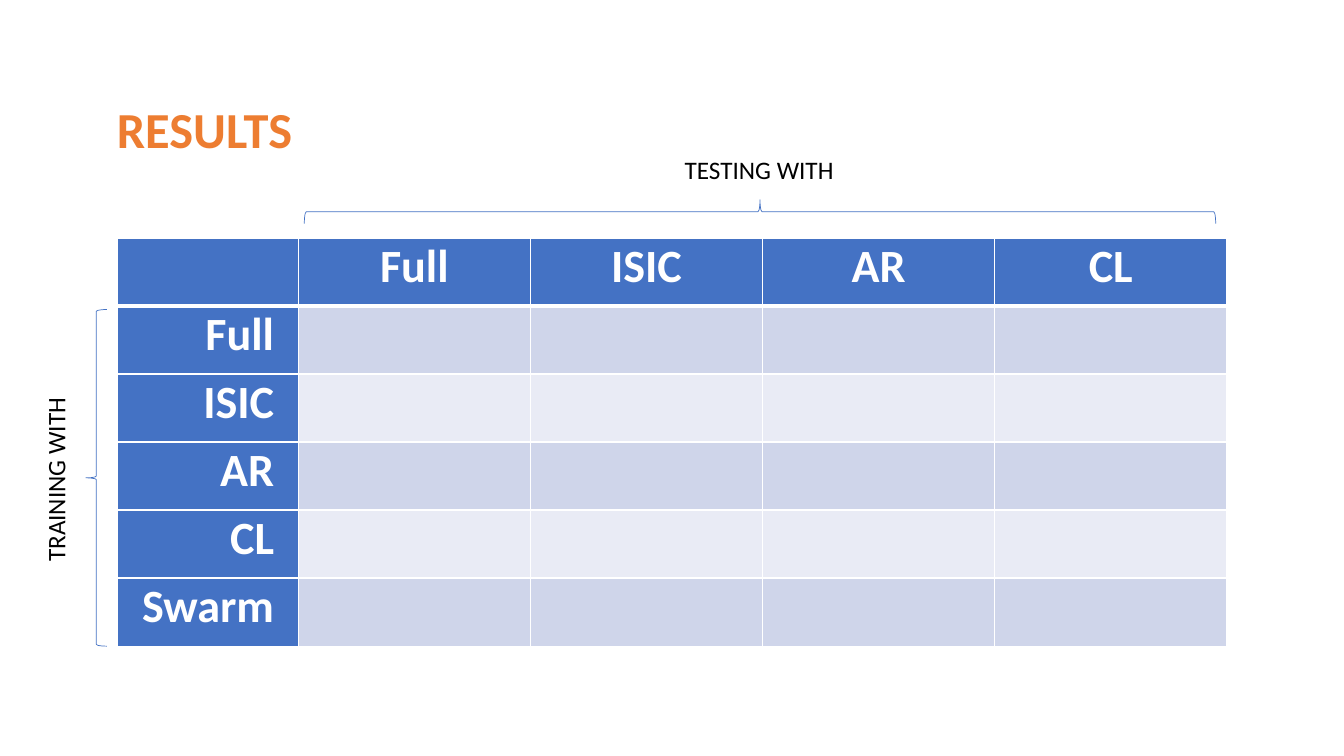
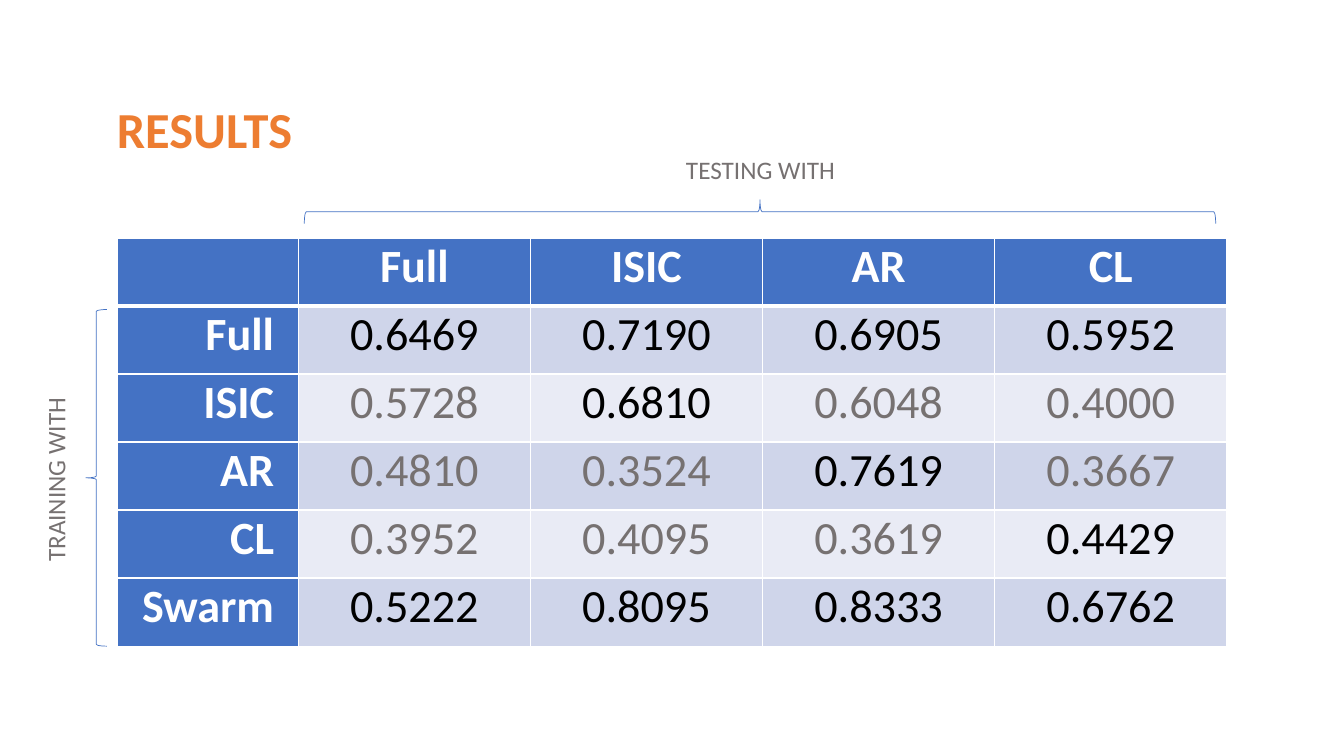
from lxml.etree import SubElement
from pptx import Presentation
from pptx.dml.color import RGBColor
from pptx.enum.shapes import MSO_SHAPE as Preset
from pptx.enum.text import MSO_ANCHOR as Anchor, MSO_AUTO_SIZE as AutoSize, PP_ALIGN as Align
from pptx.oxml.ns import qn
from pptx.util import Pt

DOMAINS = ["Full", "ISIC", "AR", "CL"]
TRAININGS = DOMAINS + ["Swarm"]
SCORES = [
    ["0.6469", "0.7190", "0.6905", "0.5952"],
    ["0.5728", "0.6810", "0.6048", "0.4000"],
    ["0.4810", "0.3524", "0.7619", "0.3667"],
    ["0.3952", "0.4095", "0.3619", "0.4429"],
    ["0.5222", "0.8095", "0.8333", "0.6762"],
]
NO_SCORES = [[""] * len(DOMAINS) for _ in TRAININGS]


def color(value):
    return RGBColor.from_string(value)


class ResultsDeck:
    FONT = "Calibri"
    ORANGE, BLUE, WHITE = "ED7D31", "4472C4", "FFFFFF"
    BLACK, GRAY = "000000", "767171"
    BANDS = ["CFD5EA", "E9EBF5"]
    LEFT, TOP = 83.5, 170
    HEAD_WIDTH, COLUMN_WIDTH, ROW_HEIGHT = 129.6, 165.8, 48.6

    def __init__(self):
        self.deck = Presentation()
        self.deck.slide_width, self.deck.slide_height = Pt(960), Pt(540)
        self.page = None

    def add_page(self, title):
        self.page = self.deck.slides.add_slide(self.deck.slide_layouts[5])
        box = self.page.shapes.title
        box.left, box.top, box.width, box.height = Pt(76.3), Pt(66.2), Pt(141), Pt(51)
        self.fit(box.text_frame)
        self.add_text(box.text_frame, title, 36, self.ORANGE, Align.LEFT, bold=True)

    def fit(self, frame):
        frame.word_wrap = False
        frame.auto_size = AutoSize.SHAPE_TO_FIT_TEXT
        frame.vertical_anchor = Anchor.TOP

    def add_text(self, frame, text, size, ink, align, bold=False):
        para = frame.paragraphs[0]
        para.alignment = align
        span = para.add_run()
        span.text = text
        span.font.name, span.font.size, span.font.bold = self.FONT, Pt(size), bold
        span.font.color.rgb = color(ink)

    def label(self, text, center_x, center_y, width, ink, rotation=0):
        height = 29
        box = self.page.shapes.add_textbox(
            Pt(center_x - width / 2), Pt(center_y - height / 2), Pt(width), Pt(height))
        box.rotation = rotation
        self.fit(box.text_frame)
        self.add_text(box.text_frame, text, 18, ink, Align.CENTER)

    def brace(self, center_x, center_y, depth, length, rotation):
        shape = self.page.shapes.add_shape(
            Preset.RIGHT_BRACE, Pt(center_x - depth / 2), Pt(center_y - length / 2),
            Pt(depth), Pt(length))
        shape.rotation = rotation
        shape.shadow.inherit = False
        shape.fill.background()
        shape.line.color.rgb = color(self.BLUE)
        shape.line.width = Pt(0.5)

    def border(self, cell, side, width):
        line = SubElement(cell._tc.get_or_add_tcPr(), qn(f"a:ln{side}"), w=str(Pt(width)))
        fill = SubElement(line, qn("a:solidFill"))
        SubElement(fill, qn("a:srgbClr"), val=self.WHITE)

    def cell(self, table, row, column, text, fill, ink, align, bold):
        cell = table.cell(row, column)
        widths = {"L": 1, "R": 1, "T": 3 if row == 1 else 1, "B": 3 if row == 0 else 1}
        for side, width in widths.items():
            self.border(cell, side, width)
        cell.fill.solid()
        cell.fill.fore_color.rgb = color(fill)
        cell.margin_left = cell.margin_right = Pt(17.3)
        cell.margin_top = cell.margin_bottom = 0
        if text:
            self.add_text(cell.text_frame, text, 33, ink, align, bold)

    def score_table(self, scores):
        rows, columns = len(TRAININGS) + 1, len(DOMAINS) + 1
        table = self.page.shapes.add_table(
            rows, columns, Pt(self.LEFT), Pt(self.TOP),
            Pt(self.HEAD_WIDTH + len(DOMAINS) * self.COLUMN_WIDTH),
            Pt(rows * self.ROW_HEIGHT)).table
        table.first_row = table.horz_banding = False
        for index, column in enumerate(table.columns):
            column.width = Pt(self.COLUMN_WIDTH if index else self.HEAD_WIDTH)
        for row in table.rows:
            row.height = Pt(self.ROW_HEIGHT)

        for column, name in enumerate([""] + DOMAINS):
            self.cell(table, 0, column, name, self.BLUE, self.WHITE, Align.CENTER, True)
        for row, (training, values) in enumerate(zip(TRAININGS, scores), 1):
            self.cell(table, row, 0, training, self.BLUE, self.WHITE, Align.RIGHT, True)
            band = self.BANDS[(row - 1) % 2]
            for column, (domain, value) in enumerate(zip(DOMAINS, values), 1):
                strong = training in ("Full", "Swarm", domain)
                ink = self.BLACK if strong else self.GRAY
                self.cell(table, row, column, value, band, ink, Align.CENTER, False)

    def results_page(self, scores, label_ink, testing_x):
        self.add_page("RESULTS")
        self.score_table(scores)
        self.label("TRAINING WITH", 39.6, 342.7, 132.5, label_ink, rotation=270)
        self.label("TESTING WITH", testing_x, 121, 121.7, label_ink)
        self.brace(542.9, 151.2, 17, 651, rotation=270)
        self.brace(68.8, 341.3, 15, 240.5, rotation=180)


def main():
    results = ResultsDeck()
    results.results_page(NO_SCORES, results.BLACK, 542.2)
    results.results_page(SCORES, results.GRAY, 543.2)
    results.deck.save("out.pptx")


if __name__ == "__main__":
    main()
